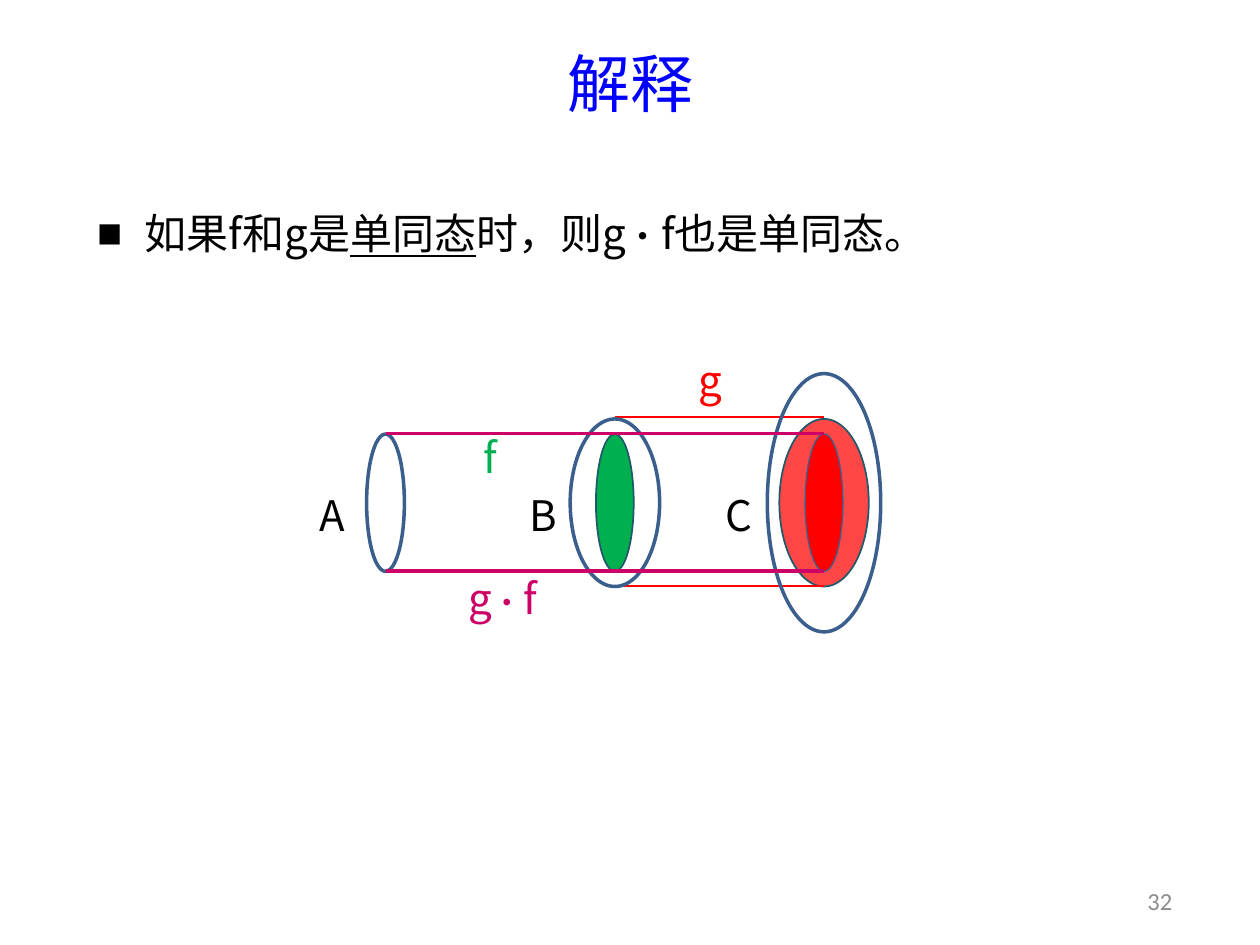
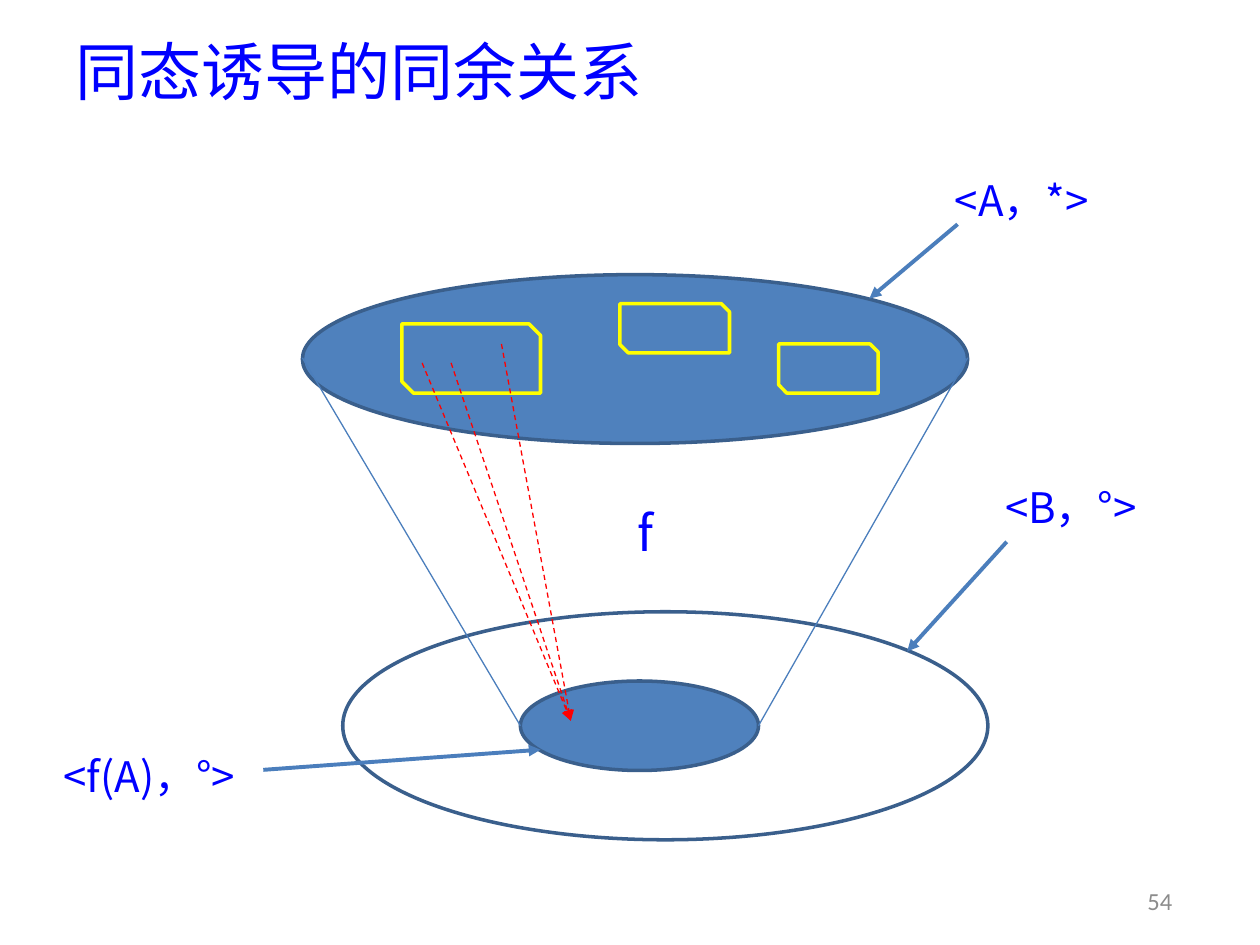
from lxml import etree
from pptx import Presentation
from pptx import util as u
from pptx.dml.color import RGBColor
from pptx.enum import dml, shapes, text
from pptx.oxml.ns import qn

COLUMNS, ROWS = 100, 75
WIDTH, HEIGHT = u.Inches(10), u.Inches(7.5)
CJK = "Noto Sans CJK SC"
BLUE, BLACK, GREY = "0000FF", "000000", "8C8C8C"
RED, GREEN, PINK, YELLOW = "FF0000", "00B050", "CC0066", "FFFF00"
FILL, OUTLINE, EDGE, ARROW = "4F81BD", "3A5F8C", "215968", "4B7EBC"
CENTER, LEFT = text.PP_ALIGN.CENTER, text.PP_ALIGN.LEFT


def across(columns):
    """Turn grid columns into a length."""
    return round(WIDTH * columns / COLUMNS)


def down(rows):
    """Turn grid rows into a length."""
    return round(HEIGHT * rows / ROWS)


def cells(left, top, width, height):
    """Turn a grid rectangle into four lengths."""
    return across(left), down(top), across(width), down(height)


def assign(target, values):
    """Set every attribute named in a dict."""
    for name, value in values.items():
        setattr(target, name, value)


def paint(color, value):
    """Give a colour object a hex colour."""
    color.rgb = RGBColor.from_string(value)


def add_child(parent, tag, **attributes):
    """Append a drawing element."""
    return etree.SubElement(parent, qn(tag), attributes)


def stroke(line, color, width):
    """Give an outline its colour and width."""
    paint(line.color, color)
    line.width = u.Pt(width)


def write(para, spans, color, size, font=CJK):
    """Write spans of (text, changed font values) into a paragraph."""
    for words, changes in spans:
        span = para.add_run()
        span.text = words
        assign(span.font, {"name": font, "size": u.Pt(size), **changes})
        paint(span.font.color, color)
        add_child(span.font._element, "a:ea", typeface=font)


def set_frame(box, place, anchor, margins):
    """Move a text shape and set its frame."""
    assign(box, dict(zip(("left", "top", "width", "height"), cells(*place))))
    frame = box.text_frame
    assign(frame, {"word_wrap": True, "vertical_anchor": anchor,
                   "auto_size": text.MSO_AUTO_SIZE.NONE,
                   "margin_top": down(margins), "margin_bottom": down(margins)})
    return frame.paragraphs[0]


def add_label(page, place, spans, color=BLUE, size=24, font=CJK):
    """Add a centred label."""
    box = page.shapes.add_textbox(*cells(*place))
    para = set_frame(box, place, text.MSO_ANCHOR.MIDDLE, 0)
    para.alignment = CENTER
    write(para, spans, color, size, font)


def add_page(deck, layout, title, place, align, number):
    """Add a slide with its title and number."""
    page = deck.slides.add_slide(deck.slide_layouts[layout])
    para = set_frame(page.shapes.title, place, text.MSO_ANCHOR.MIDDLE, 0.5)
    para.alignment = align
    write(para, [(title, {})], BLUE, 36)
    add_label(page, (89.1, 69.5, 5.9, 4), [(number, {})], GREY, 14, "Calibri")
    return page


def add_statement(page, place, spans):
    """Fill the body placeholder with one bulleted paragraph."""
    para = set_frame(page.placeholders[1], place, text.MSO_ANCHOR.TOP, 0.5)
    props = para._p.get_or_add_pPr()
    props.set("marL", str(across(3.8)))
    props.set("indent", str(across(-3.8)))
    add_child(props, "a:buSzPct", val="60000")
    add_child(props, "a:buFont", typeface=CJK)
    add_child(props, "a:buChar", char="■")
    assign(para, {"line_spacing": 1.1, "space_before": u.Pt(0), "space_after": u.Pt(6)})
    write(para, spans, BLACK, 24)


def add_figure(page, kind, place, fill=None, line=OUTLINE, width=2, alpha=None):
    """Add a preset shape, hollow unless a fill is given."""
    figure = page.shapes.add_shape(kind, *cells(*place))
    figure.shadow.inherit = False
    stroke(figure.line, line, width)
    if not fill:
        figure.fill.background()
        return
    figure.fill.solid()
    paint(figure.fill.fore_color, fill)
    if alpha:
        color = figure._element.spPr.find(qn("a:solidFill"))[0]
        add_child(color, "a:alpha", val=str(alpha * 1000))


def add_oval(page, center, size, **style):
    """Add an ellipse around a centre point."""
    corner = [middle - length / 2 for middle, length in zip(center, size)]
    add_figure(page, shapes.MSO_SHAPE.OVAL, (*corner, *size), **style)


def add_line(page, start, end, color, width=0.75, dash=False, arrow=False):
    """Add a straight line, dashed or with an arrowhead on request."""
    ends = across(start[0]), down(start[1]), across(end[0]), down(end[1])
    line = page.shapes.add_connector(shapes.MSO_CONNECTOR.STRAIGHT, *ends)
    stroke(line.line, color, width)
    if dash:
        line.line.dash_style = dml.MSO_LINE.DASH
    props = line._element.spPr
    if arrow:
        add_child(props.find(qn("a:ln")), "a:tailEnd", type="triangle")
    add_child(props, "a:effectLst")


def add_rails(page, left, right, rows, color, **style):
    """Add the two level lines that bound a mapping."""
    for row in rows:
        add_line(page, (left, row), (right, row), color, **style)


def build_composition(deck):
    """Show that composing two monomorphisms gives a monomorphism."""
    page = add_page(deck, 1, "解释", (5, 3.1, 90, 6.9), CENTER, "32")
    add_statement(page, (6.7, 15.6, 69.1, 5.7), [
        ("如果f和g是", {}), ("单同态", {"underline": True}), ("时，则g", {}),
        ("·", {"size": u.Pt(20)}), ("f也是单同态。", {})])

    a, b, c, axis = 30.6, 48.8, 65.4, 39.9
    small, medium, large = (3, 10.9), (7.1, 13.3), (9, 20.5)
    inner, outer = (34.5, 45.4), (33.1, 46.5)
    add_oval(page, (c, axis), medium, fill=RED, line=EDGE, width=1, alpha=72)
    add_rails(page, b, c, outer, RED)
    for center, size in ((a, small), (b, medium), (c, large)):
        add_oval(page, (center, axis), size)
    add_rails(page, a, b, inner, GREEN)
    add_oval(page, (b, axis), small, fill=GREEN, line=EDGE, width=1)
    add_rails(page, b, c, inner, RED, dash=True)
    add_oval(page, (c, axis), small, fill=RED, width=0.75)
    add_rails(page, a, c, (34.4, 45.3), PINK, width=2)

    for name, left, top, color in (("A", 23.4, 38.9, BLACK), ("B", 40.2, 38.9, BLACK),
                                   ("C", 55.7, 38.9, BLACK), ("f", 36, 34.3, GREEN),
                                   ("g", 53.4, 28.2, RED)):
        add_label(page, (left, top, 5.9, 3.9), [(name, {})], color)
    add_label(page, (34.2, 45.5, 11.4, 3.8),
              [("g", {}), ("·", {"size": u.Pt(18)}), ("f", {})], PINK)


def build_congruence(deck):
    """Show the classes that a homomorphism sends to one element."""
    page = add_page(deck, 5, "同态诱导的同余关系", (5, 1.3, 90, 8.5), LEFT, "54")
    add_oval(page, (50.4, 28.5), (52.8, 13.4), fill=FILL)
    add_oval(page, (52.8, 57.6), (51.2, 18.1))
    add_oval(page, (50.75, 57.6), (18.9, 7.1), fill=FILL)
    for top, bottom in ((24, 41.3), (76.8, 60.2)):
        add_line(page, (top, 28.4), (bottom, 57.6), ARROW)

    for name, place, start, end in (
            ("<f(A)，°>", (1.2, 58.8, 21.3, 5.5), (20.9, 61.1), (42.9, 59.5)),
            ("<A，*>", (68.1, 13.1, 26, 5.5), (76, 17.8), (69, 23.7)),
            ("<B，°>", (72, 37.5, 26, 5.5), (79.9, 43), (72, 51.7))):
        add_label(page, place, [(name, {})])
        add_line(page, start, end, ARROW, width=2.25, arrow=True)
    add_label(page, (44.5, 39.9, 13.4, 4.7), [("f", {})], size=28)

    for place in ((31.9, 25.7, 11, 5.5), (49.2, 24.1, 8.7, 3.9), (61.8, 27.3, 7.9, 3.9)):
        add_figure(page, shapes.MSO_SHAPE.SNIP_2_DIAG_RECTANGLE, place, FILL, YELLOW)
    for member in ((33.5, 28.8), (35.8, 28.8), (39.8, 27.3)):
        add_line(page, member, (45.3, 57.2), RED, dash=True, arrow=True)


def main():
    """Build and save the deck."""
    deck = Presentation()
    assign(deck, {"slide_width": WIDTH, "slide_height": HEIGHT})
    build_composition(deck)
    build_congruence(deck)
    deck.save("out.pptx")


if __name__ == "__main__":
    main()
